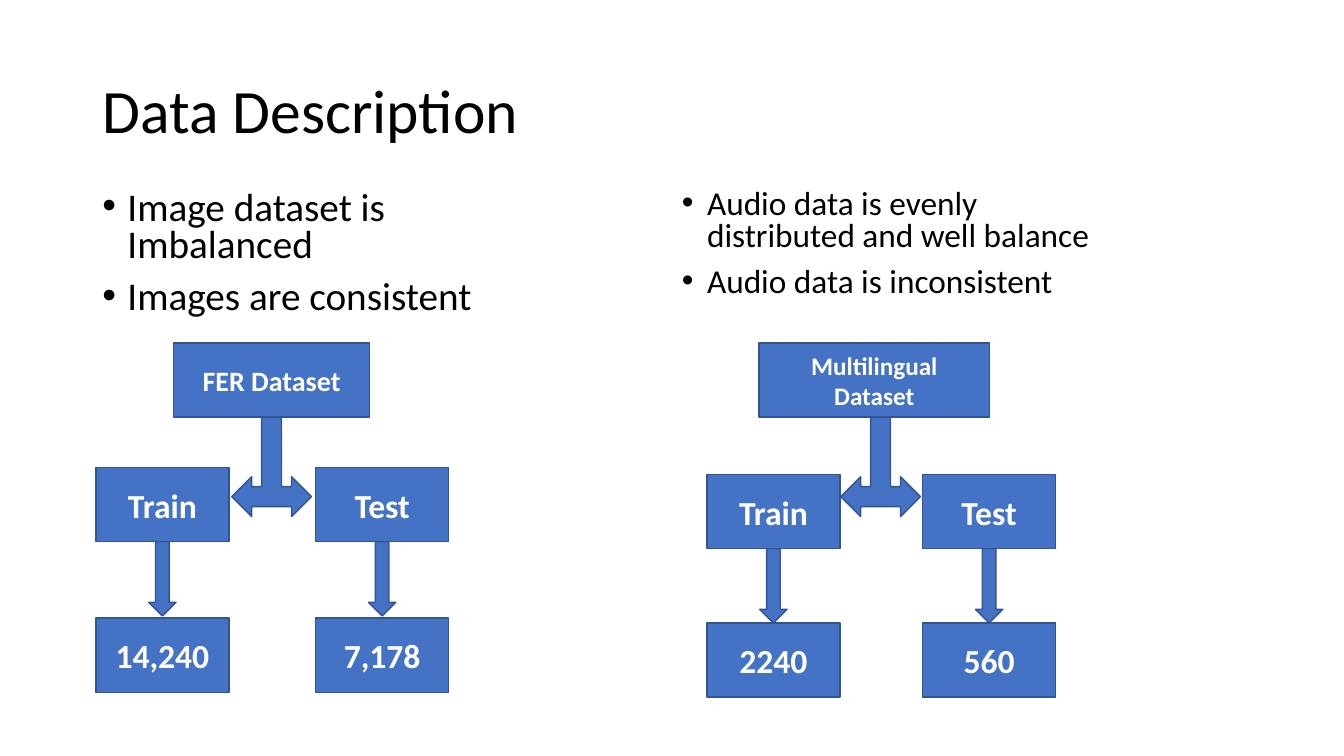
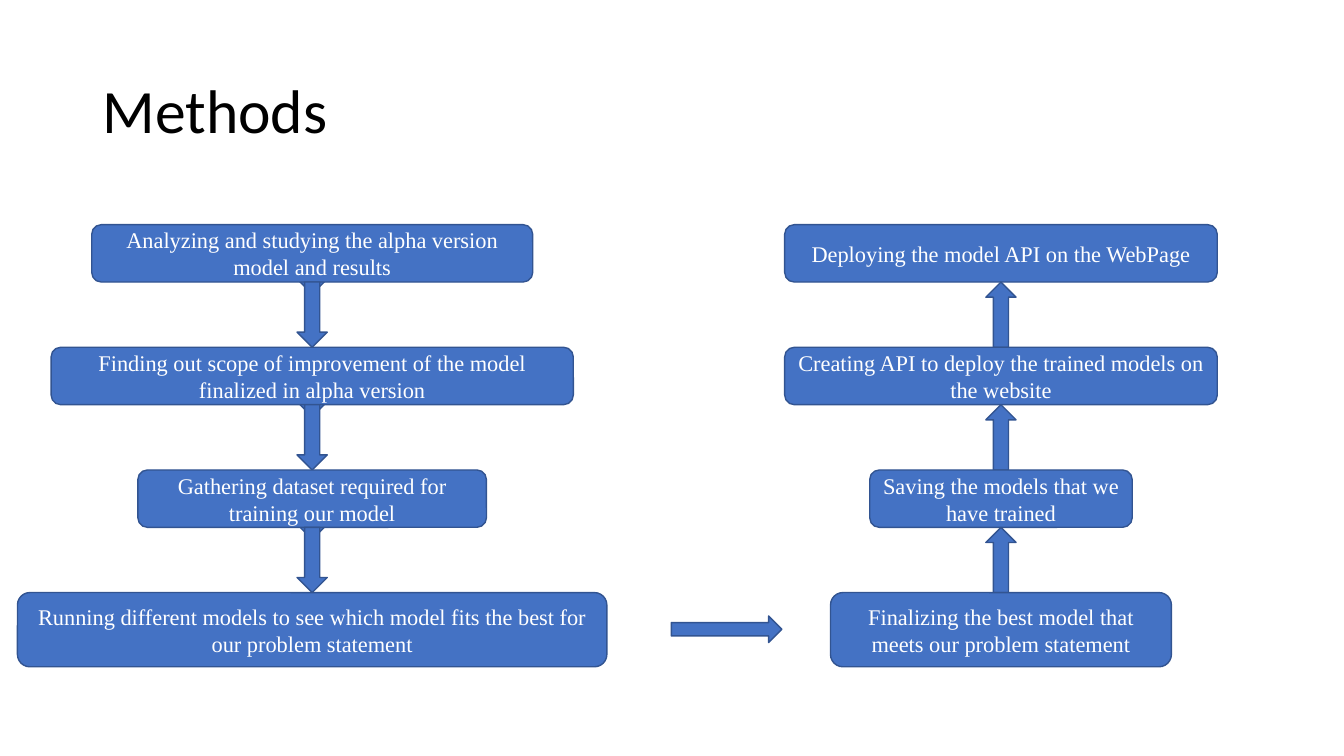
from lxml import etree
from pptx import Presentation
from pptx.dml.color import RGBColor
from pptx.enum.shapes import MSO_SHAPE as Shape
from pptx.enum.text import MSO_ANCHOR as Anchor, MSO_AUTO_SIZE as AutoSize, PP_ALIGN as Align
from pptx.oxml.ns import qn
from pptx.util import Pt

BLUE = RGBColor(0x44, 0x72, 0xC4)
DARK_BLUE = RGBColor(0x32, 0x54, 0x91)
BLACK = RGBColor(0, 0, 0)
WHITE = RGBColor(0xFF, 0xFF, 0xFF)
SANS = "Calibri"
SERIF = "Times New Roman"

TREE_TOP = 245
BOX_HEIGHT = 53
CHILD_WIDTH = 95
STEP_TOP = 160.5
STEP_PITCH = 87.6
STEP_HEIGHT = 41

IMPROVEMENT_STEPS = [
    ("Analyzing and studying the alpha version model and results", 315),
    ("Finding out scope of improvement of the model finalized in alpha version", 373),
    ("Gathering dataset required for training our model", 249),
    ("Running different models to see which model fits the best for our problem statement", 421),
]
DEPLOYMENT_STEPS = [
    ("Deploying the model API on the WebPage", 309),
    ("Creating API to deploy the trained models on the website", 309),
    ("Saving the models that we have trained", 187.5),
    ("Finalizing the best model that meets our problem statement", 243.5),
]


def write(frame, *lines, size, font=SANS, color=BLACK, bold=False, align=Align.LEFT,
          anchor=Anchor.MIDDLE, spacing=1.0, before=0, bullet=False):
    """Fill a text frame with one paragraph per line."""
    frame.word_wrap = True
    frame.auto_size = AutoSize.NONE
    frame.vertical_anchor = anchor
    for index, line in enumerate(lines):
        para = frame.paragraphs[0] if index == 0 else frame.add_paragraph()
        para.alignment = align
        para.line_spacing = spacing
        para.space_before = Pt(before)
        if bullet:
            add_bullet(para)
        span = para.add_run()
        span.text = line
        span.font.size = Pt(size)
        span.font.name = font
        span.font.bold = bold
        span.font.color.rgb = color


def add_bullet(para):
    props = para._p.get_or_add_pPr()
    props.set("marL", str(Pt(18)))
    props.set("indent", str(-Pt(18)))
    etree.SubElement(props, qn("a:buFont")).set("typeface", "Arial")
    etree.SubElement(props, qn("a:buChar")).set("char", "•")


def add_page(deck, title):
    page = deck.slides.add_slide(deck.slide_layouts[5])
    box = page.shapes.title
    box.left, box.top, box.width, box.height = Pt(66), Pt(29), Pt(828), Pt(104)
    write(box.text_frame, title, size=44, spacing=0.9)
    return page


def add_block(page, kind, center, top, width, height, text="", **style):
    """Add a blue shape centred on a horizontal position."""
    block = page.shapes.add_shape(
        kind, Pt(center - width / 2), Pt(top), Pt(width), Pt(height))
    block.shadow.inherit = False
    block.fill.solid()
    block.fill.fore_color.rgb = BLUE
    block.line.color.rgb = DARK_BLUE
    block.line.width = Pt(1)
    if text:
        write(block.text_frame, text, color=WHITE, align=Align.CENTER, **style)


def add_bullets(page, left, top, size, *lines):
    box = page.shapes.add_textbox(Pt(left), Pt(top), Pt(330), Pt(104))
    write(box.text_frame, *lines, size=size, anchor=Anchor.TOP,
          spacing=0.8, before=10, bullet=True)


def add_split_tree(page, name, center, width, size, fork, child_top, count_top, splits):
    """Draw a dataset that forks into parts, each pointing to its row count."""
    add_block(page, Shape.LEFT_RIGHT_UP_ARROW, fork, 283, 57, 86)
    add_block(page, Shape.RECTANGLE, center, TREE_TOP, width, BOX_HEIGHT,
              name, size=size, bold=True)
    for part, count, middle in splits:
        for text, top in ((part, child_top), (count, count_top)):
            add_block(page, Shape.RECTANGLE, middle, top, CHILD_WIDTH, BOX_HEIGHT,
                      text, size=24, bold=True)
        add_block(page, Shape.DOWN_ARROW, middle, child_top + BOX_HEIGHT, 19.5, BOX_HEIGHT)


def add_step_column(page, center, steps, arrow, tips=False):
    """Stack steps joined by arrows; tips adds arrowheads peeking out below each step."""
    gap = STEP_PITCH - STEP_HEIGHT
    last = len(steps) - 1
    for index, (text, width) in enumerate(steps):
        top = STEP_TOP + index * STEP_PITCH
        height = BOX_HEIGHT if index == last else STEP_HEIGHT
        if tips and index < last:
            add_block(page, arrow, center, top + 3, 21.6, gap)
        add_block(page, Shape.ROUNDED_RECTANGLE, center, top, width, height,
                  text, size=16, font=SERIF)
        if index < last:
            add_block(page, arrow, center, top + STEP_HEIGHT, 21.6, gap)


def add_data_page(deck):
    page = add_page(deck, "Data Description")
    add_bullets(page, 66, 133, 28, "Image dataset is Imbalanced", "Images are consistent")
    add_bullets(page, 480, 132, 23.8, "Audio data is evenly distributed and well balance",
                "Audio data is inconsistent")
    add_split_tree(page, "FER Dataset", center=194, width=140, size=20, fork=194,
                   child_top=334, count_top=441.5,
                   splits=[("Train", "14,240", 116), ("Test", "7,178", 273)])
    add_split_tree(page, "Multilingual Dataset", center=624.5, width=165, size=18, fork=629,
                   child_top=339, count_top=445,
                   splits=[("Train", "2240", 552.5), ("Test", "560", 706.5)])


def add_methods_page(deck):
    page = add_page(deck, "Methods")
    add_step_column(page, 223, IMPROVEMENT_STEPS, Shape.DOWN_ARROW, tips=True)
    add_step_column(page, 715, DEPLOYMENT_STEPS, Shape.UP_ARROW)
    add_block(page, Shape.RIGHT_ARROW, 519, 440, 79, 19)


def main():
    deck = Presentation()
    deck.slide_width, deck.slide_height = Pt(960), Pt(540)
    add_data_page(deck)
    add_methods_page(deck)
    deck.save("out.pptx")


if __name__ == "__main__":
    main()
